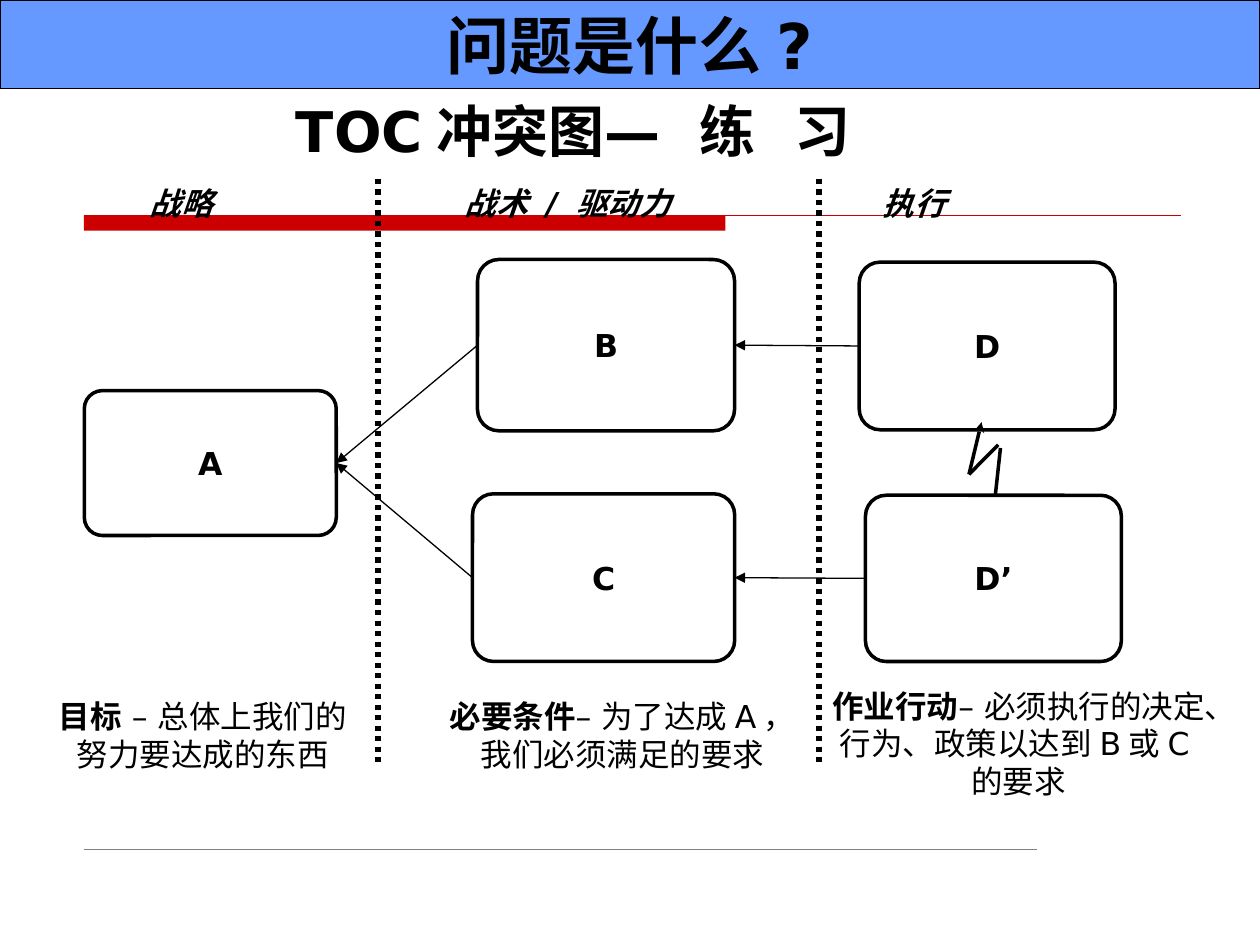
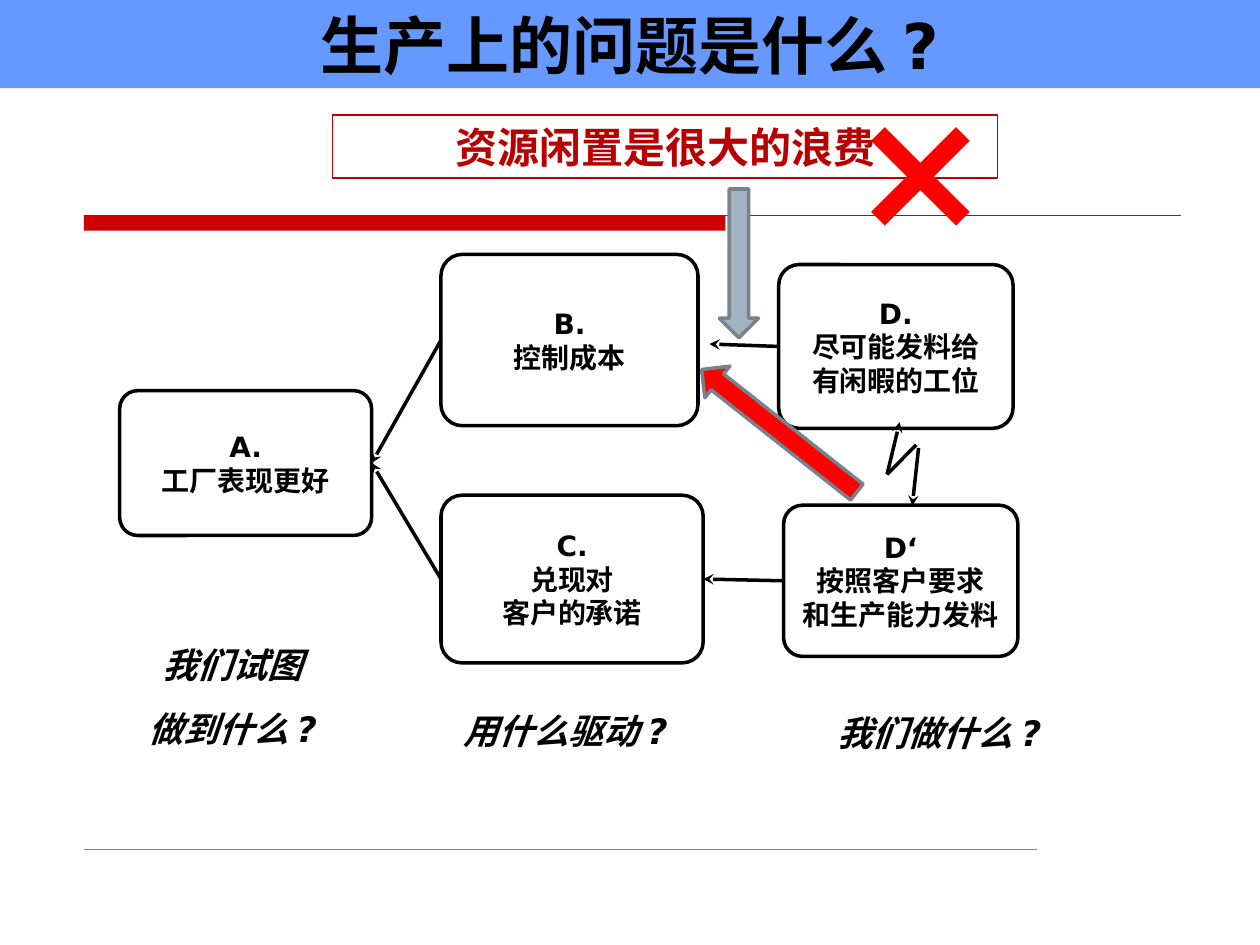
import dataclasses
import pptx
import pptx.dml.color
import pptx.enum.dml
import pptx.enum.shapes
import pptx.enum.text
import pptx.oxml.ns
import pptx.util
from lxml import etree

Pt = pptx.util.Pt
Shape = pptx.enum.shapes.MSO_SHAPE
Align = pptx.enum.text.PP_ALIGN
Anchor = pptx.enum.text.MSO_ANCHOR
Color = pptx.dml.color.RGBColor.from_string
qn = pptx.oxml.ns.qn


@dataclasses.dataclass(frozen=True)
class Theme:
    font = "DejaVu Sans"
    ink = Color("000000")
    paper = Color("FFFFFF")
    band = Color("6699FF")
    rule = Color("CC0000")
    footer = Color("808080")
    claim = Color("B90000")
    claim_edge = Color("C00000")
    cross = Color("FF0000")
    steel = Color("A3B2C1")
    steel_edge = Color("77828D")
    title = 36
    heading = 32
    claim_size = 24
    question = 20
    label = 18
    node = 16
    cross_size = 96


theme = Theme()


def write(shape, lines, size, color=theme.ink, bold=True, italic=False,
          align=Align.CENTER, anchor=Anchor.TOP, wrap=True, gap=0):
    frame = shape.text_frame
    frame.word_wrap = wrap
    frame.auto_size = pptx.enum.text.MSO_AUTO_SIZE.NONE
    frame.vertical_anchor = anchor
    for index, line in enumerate(lines):
        para = frame.add_paragraph() if index else frame.paragraphs[0]
        para.alignment = align
        if index:
            para.space_before = Pt(gap)
        font = para.font
        font.name, font.size, font.bold, font.italic = theme.font, Pt(size), bold, italic
        font.color.rgb = color
        etree.SubElement(font._element, qn("a:ea"), typeface=theme.font)
        for words in line.split("|"):
            para.add_run().text = words
    return frame.paragraphs[0]


def link(slide, start, finish, width, head=None, tail=None, color=theme.ink, dash=None):
    line = slide.shapes.add_connector(pptx.enum.shapes.MSO_CONNECTOR.STRAIGHT,
                                      *map(Pt, start + finish))
    line.line.color.rgb = color
    line.line.width = Pt(width)
    if dash:
        line.line.dash_style = dash
    outline = line.line._get_or_add_ln()
    for tag, arrow in (("a:headEnd", head), ("a:tailEnd", tail)):
        if arrow:
            etree.SubElement(outline, qn(tag), type=arrow)
    etree.SubElement(line._element.spPr, qn("a:effectLst"))
    return line


deck = pptx.Presentation()
deck.slide_width, deck.slide_height = Pt(720), Pt(540)

pages = [
    dict(title="问题是什么?", size=theme.label, width=0.75, arrow="triangle", zigzag=560.9,
         nodes={"D": (491, 149.8, 146.2, 95.8, ["D"]),
                "A": (48.2, 223.2, 144, 82.8, ["A"]),
                "D2": (494.6, 283, 146.2, 95, ["D’"]),
                "B": (272.9, 148.3, 146.9, 97.9, ["B"]),
                "C": (270, 282.2, 149.8, 95.8, ["C"])},
         links=["BA", "CA", "DB", ("D2", "C")]),
    dict(title="生产上的问题是什么?", size=theme.node, width=2, arrow="stealth", zigzag=514.1,
         nodes={"D": (445, 151.2, 133.9, 93.6, ["D.", "尽可能发料给", "有闲暇的工位"]),
                "A": (68.4, 223.2, 144, 82.8, ["A.", "工厂表现更好"]),
                "D2": (447.8, 288.7, 133.9, 86.4, ["D‘", "按照客户要求", "和生产能力发料"]),
                "B": (252, 145.4, 146.9, 97.9, ["B.", "控制成本"]),
                "C": (252, 283, 149.8, 95.8, ["C.", "兑现对", "客户的承诺"])},
         links=["BA", "CA", ("D2", "C")]),
]

slides = []
for page in pages:
    slide = deck.slides.add_slide(deck.slide_layouts[5])
    title = slide.shapes.title
    title.left, title.top, title.width, title.height = Pt(0), Pt(0), Pt(720), Pt(50.4)
    title.fill.solid()
    title.fill.fore_color.rgb = theme.band
    write(title, [page["title"]], theme.title)

    bar = slide.shapes.add_shape(Shape.RECTANGLE, Pt(48), Pt(123), Pt(366.5), Pt(8.8))
    bar.shadow.inherit = False
    bar.fill.solid()
    bar.fill.fore_color.rgb = theme.rule
    bar.line.fill.background()
    link(slide, (48, 123), (674.8, 123), 0.75, color=theme.rule)
    link(slide, (48, 485.3), (592.6, 485.3), 0.25, color=theme.footer)

    boxes = {}
    for name, (left, top, width, height, lines) in page["nodes"].items():
        box = slide.shapes.add_shape(Shape.ROUNDED_RECTANGLE, *map(Pt, (left, top, width, height)))
        box.adjustments[0] = 0.125
        box.shadow.inherit = False
        box.fill.solid()
        box.fill.fore_color.rgb = theme.paper
        box.line.color.rgb = theme.ink
        box.line.width = Pt(2)
        write(box, lines, page["size"], anchor=Anchor.MIDDLE, wrap=False)
        boxes[name] = box
        if name == "D":
            x = page["zigzag"]
            link(slide, (x, 241.2), (x - 7.2, 271.1), 2, head="stealth")
            link(slide, (x - 7.2, 271.1), (x + 9.5, 254.2), 2)
            link(slide, (x + 10.8, 256), (x + 7.2, 289), 2, tail="stealth")

    for source, target in page["links"]:
        arrow = link(slide, (0, 0), (0, 0), page["width"], tail=page["arrow"])
        arrow.begin_connect(boxes[source], 1)
        arrow.end_connect(boxes[target], 3)
    slides.append((slide, boxes))

exercise, factory = slides[0][0], slides[1][0]

exercise.shapes.title.line.color.rgb = theme.ink
exercise.shapes.title.line.width = Pt(0.75)

heading = exercise.shapes.add_textbox(Pt(162), Pt(51.8), Pt(385.2), Pt(46))
para = write(heading, ["TOC冲突图—| |练| |习"], theme.heading, align=Align.LEFT)
for span in para.runs:
    if span.text == " ":
        span._r.get_or_add_rPr().set("spc", "1100")

for x in (216, 468):
    link(exercise, (x, 102.2), (x, 437.8), 3, dash=pptx.enum.dml.MSO_LINE.ROUND_DOT)

for text, left, width in (("战略", 78.5, 50.4), ("战术 / 驱动力", 258.5, 129.6), ("执行", 497.5, 50.4)):
    box = exercise.shapes.add_textbox(Pt(left), Pt(101.5), Pt(width), Pt(28.8))
    write(box, [text], theme.label, italic=True, align=Align.LEFT, wrap=False)

for text, left, top, width, height in (
        ("必要条件|– 为了达成A，我们必须满足的要求", 241.2, 394.6, 229, 50.4),
        ("作业行动|– 必须执行的决定、行为、政策以达到B或C的要求", 468, 388.8, 228.2, 72),
        ("目标| – 总体上我们的努力要达成的东西", 19.4, 394.6, 193, 50.4)):
    box = exercise.shapes.add_textbox(*map(Pt, (left, top, width, height)))
    para = write(box, [text], theme.label, bold=False)
    para.runs[0].font.bold = True

supply = link(factory, (445, 198), (405.4, 196.6), 2, tail="stealth")
supply.begin_connect(slides[1][1]["D"], 1)

for lines, left, top, width, height in (
        (["我们做什么?"], 437.8, 403.2, 198, 31.7),
        (["用什么驱动?"], 215.3, 401.8, 216, 31.7),
        (["我们试图", "做到什么?"], 31, 364.3, 203.8, 67.7)):
    box = factory.shapes.add_textbox(*map(Pt, (left, top, width, height)))
    write(box, lines, theme.question, italic=True, gap=12.5)

for kind, left, top, width, height, turn, fill in (
        (Shape.DOWN_ARROW, 411.1, 108, 22.3, 85, 0, theme.steel),
        (Shape.LEFT_ARROW, 388.8, 234.7, 113, 23, 38.3, theme.cross)):
    arrow = factory.shapes.add_shape(kind, *map(Pt, (left, top, width, height)))
    arrow.rotation = turn
    arrow.shadow.inherit = False
    arrow.fill.solid()
    arrow.fill.fore_color.rgb = fill
    arrow.line.color.rgb = theme.steel_edge
    arrow.line.width = Pt(2)

claim = factory.shapes.add_shape(Shape.RECTANGLE, Pt(190), Pt(65.8), Pt(380.2), Pt(36))
claim.shadow.inherit = False
claim.fill.background()
claim.line.color.rgb = theme.claim_edge
claim.line.width = Pt(0.75)
write(claim, ["资源闲置是很大的浪费"], theme.claim_size, theme.claim)

cross = factory.shapes.add_textbox(Pt(478.8), Pt(31.7), Pt(85), Pt(122.4))
write(cross, ["×"], theme.cross_size, theme.cross, align=Align.LEFT)

deck.save("out.pptx")
